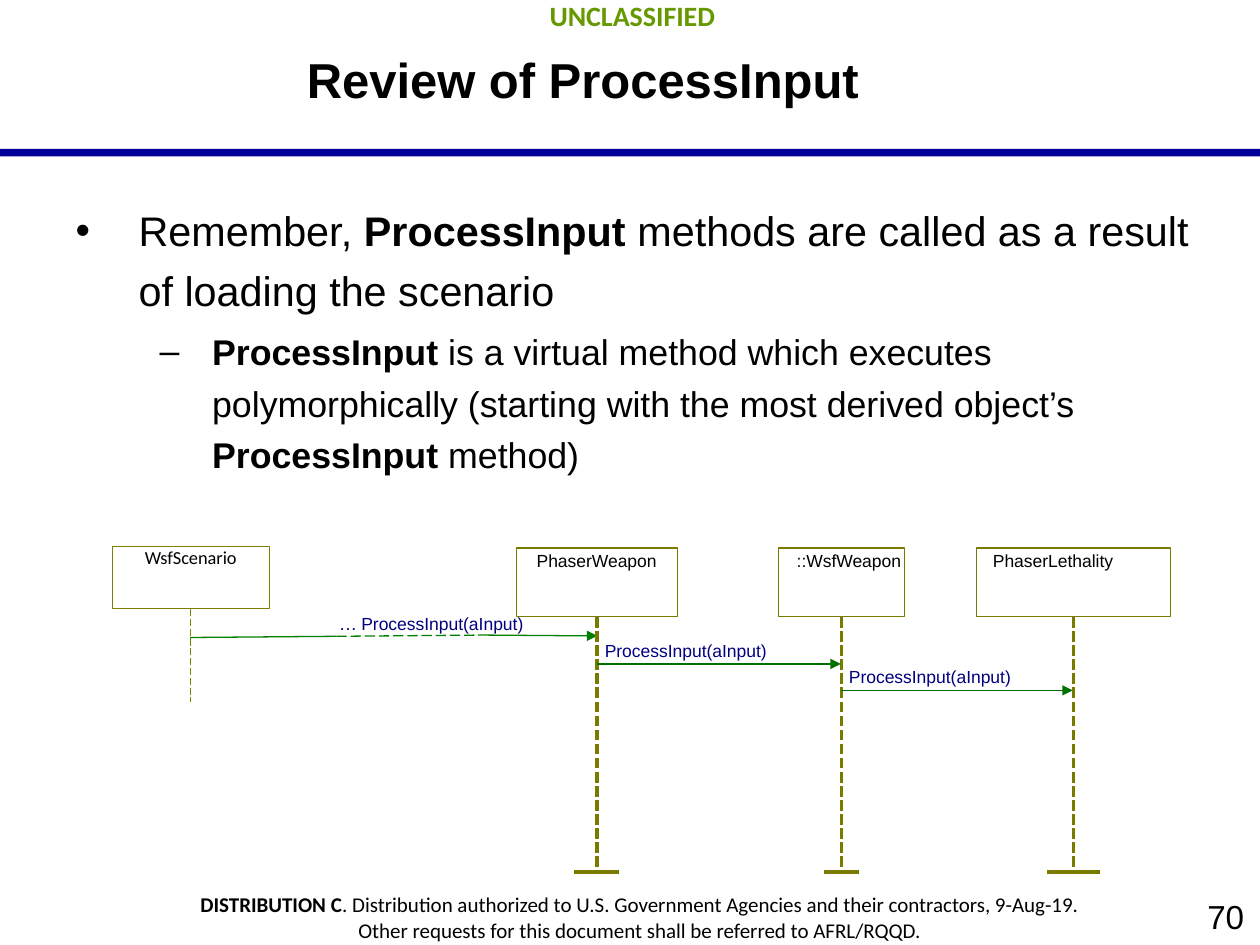
"""Build the slide that reviews the ProcessInput call sequence."""
import pptx
import pptx.dml.color
import pptx.enum.dml
import pptx.enum.shapes
import pptx.enum.text
import pptx.oxml.ns
import pptx.util

Pt = pptx.util.Pt
ALIGN = pptx.enum.text.PP_ALIGN
MIDDLE = pptx.enum.text.MSO_ANCHOR.MIDDLE
DASH = pptx.enum.dml.MSO_LINE
WIDE_INSETS = (9, 5, 9, 5)
NO_INSETS = (0, 0, 0, 0)
BOX_INSETS = (7.2, 0, 7.2, 3.6)
CALL = "ProcessInput(aInput)"
OLIVE = "797A00"
LIFELINE_END = 498.2


def paint(color_format, color):
    """Set a colour format from a hex string."""
    color_format.rgb = pptx.dml.color.RGBColor.from_string(color)


def add_run(paragraph, text, size=10, font="Arial", color="000000", bold=False):
    """Append formatted text to a paragraph."""
    run = paragraph.add_run()
    run.text = text
    run.font.size = Pt(size)
    run.font.name = font
    run.font.bold = bold
    paint(run.font.color, color)


def set_frame(shape, insets, anchor=pptx.enum.text.MSO_ANCHOR.TOP, wrap=True):
    """Set the margins, anchor and wrapping of a text frame and return it."""
    frame = shape.text_frame
    frame.auto_size = pptx.enum.text.MSO_AUTO_SIZE.NONE
    frame.word_wrap = wrap
    frame.vertical_anchor = anchor
    (frame.margin_left, frame.margin_top,
     frame.margin_right, frame.margin_bottom) = map(Pt, insets)
    return frame


def add_label(slide, bounds, lines, align=ALIGN.LEFT, insets=NO_INSETS, **frame_format):
    """Add a text box; each line is a list of (text, format) pairs."""
    shape = slide.shapes.add_textbox(*map(Pt, bounds))
    frame = set_frame(shape, insets, **frame_format)
    for index, runs in enumerate(lines):
        paragraph = frame.add_paragraph() if index else frame.paragraphs[0]
        paragraph.alignment = align
        for text, text_format in runs:
            add_run(paragraph, text, **text_format)


def add_box(slide, bounds, fill=None, line=None, width=0.0):
    """Add a rectangle with optional fill and outline."""
    shape = slide.shapes.add_shape(
        pptx.enum.shapes.MSO_SHAPE.RECTANGLE, *map(Pt, bounds))
    shape.shadow.inherit = False
    if fill:
        shape.fill.solid()
        paint(shape.fill.fore_color, fill)
    else:
        shape.fill.background()
    if line:
        paint(shape.line.color, line)
        shape.line.width = Pt(width)
    else:
        shape.line.fill.background()
    return shape


def add_line(slide, start, end, color, width=0.0, dash=None, arrow=False):
    """Add a straight line, dashed or with an arrowhead at its end."""
    line = slide.shapes.add_connector(
        pptx.enum.shapes.MSO_CONNECTOR.STRAIGHT, *map(Pt, start + end))
    paint(line.line.color, color)
    line.line.width = Pt(width)
    if dash:
        line.line.dash_style = dash
    if arrow:
        head = line.line._get_or_add_ln().makeelement(
            pptx.oxml.ns.qn("a:tailEnd"), {"type": "triangle"})
        line.line._get_or_add_ln().append(head)
    properties = line._element.spPr
    properties.append(properties.makeelement(pptx.oxml.ns.qn("a:effectLst"), {}))


def add_bullet(paragraph, character, runs, size, left, hanging, level=0):
    """Format a list paragraph; runs are (text, bold) pairs."""
    paragraph.level = level
    paragraph.line_spacing = 1.2
    paragraph.space_before = Pt(size * 0.2)
    properties = paragraph._p.get_or_add_pPr()
    properties.set("marL", str(Pt(left)))
    properties.set("indent", str(-Pt(hanging)))
    properties.append(properties.makeelement(
        pptx.oxml.ns.qn("a:buChar"), {"char": character}))
    for text, bold in runs:
        add_run(paragraph, text, size=size, bold=bold)


def place(shape, left, top, width, height):
    """Move and size a placeholder."""
    shape.left, shape.top, shape.width, shape.height = map(
        Pt, (left, top, width, height))


def add_title_and_list(slide):
    """Fill the title and body placeholders."""
    title, body = slide.placeholders
    place(title, 72, 0, 522, 90)
    paragraph = set_frame(title, WIDE_INSETS, anchor=MIDDLE).paragraphs[0]
    paragraph.alignment = ALIGN.CENTER
    add_run(paragraph, "Review of ProcessInput", size=28, bold=True)

    place(body, 36, 108, 660, 168)
    frame = set_frame(body, (7.2, 3.6, 7.2, 3.6))
    add_bullet(frame.paragraphs[0], "•", [
        ("Remember, ", False), ("ProcessInput", True),
        (" methods are called as a result of loading the scenario", False),
    ], size=23.6, left=36, hanging=36)
    add_bullet(frame.add_paragraph(), "–", [
        ("ProcessInput", True),
        (" is a virtual method which executes polymorphically "
         "(starting with the most derived object’s ", False),
        ("ProcessInput", True), (" method)", False),
    ], size=20.4, left=78, hanging=30, level=1)


def add_page_marks(slide):
    """Add the rule, marking, distribution statement and page number."""
    add_box(slide, (0, 85, 720, 4.4), fill="000099")
    add_label(slide, (576, 507.6, 144, 32.4), [[("70", {"size": 19})]],
              align=ALIGN.RIGHT, insets=WIDE_INSETS, anchor=MIDDLE)
    add_label(slide, (1.4, -5.8, 720, 29), [[("UNCLASSIFIED", {
        "size": 16, "font": "Calibri", "color": "669900", "bold": True})]],
              align=ALIGN.CENTER, insets=WIDE_INSETS)
    small = {"size": 12, "font": "Calibri"}
    add_label(slide, (5, 504.7, 721.4, 39), [
        [("DISTRIBUTION C", {**small, "bold": True}),
         (". Distribution authorized to U.S. Government Agencies and their "
          "contractors, 9-Aug-19.", small)],
        [("Other requests for this document shall be referred to AFRL/RQQD.", small)],
    ], align=ALIGN.CENTER, insets=WIDE_INSETS)


def add_scenario(slide):
    """Add the scenario box, its lifeline and its call."""
    box = add_box(slide, (64, 312, 90, 36), line="808000", width=0.5)
    paragraph = set_frame(box, BOX_INSETS).paragraphs[0]
    paragraph.alignment = ALIGN.CENTER
    add_run(paragraph, "WsfScenario", size=10.5, font="Calibri")
    add_line(slide, (108.7, 348), (108.7, 401), "808000", 0.5, DASH.LONG_DASH)
    points = [(108.7, 364.3), (192.2, 363.6), (275.8, 362.9), (341.3, 363.4)]
    styles = [{}, {"dash": DASH.LONG_DASH}, {"arrow": True}]
    for start, end, style in zip(points, points[1:], styles):
        add_line(slide, start, end, "008000", 0.75, **style)
    add_label(slide, (186.5, 346.3, 121, 20), [[
        ("…", {"size": 10.5, "color": "000080"}),
        (" ", {"size": 9, "color": "000080"}),
        (CALL, {"color": "000080"}),
    ]], insets=(7.2, 3.6, 7.2, 3.6), wrap=False)


def add_participant(slide, name, left, width, text_left, center, foot_left, foot_right):
    """Add a class box with its lifeline and foot."""
    add_line(slide, (center, 352.6), (center, LIFELINE_END), OLIVE, dash=DASH.SQUARE_DOT)
    add_box(slide, (left, 313.2, width, 39), fill="FFFFFF", line=OLIVE)
    add_line(slide, (foot_left, LIFELINE_END), (foot_right, LIFELINE_END), OLIVE)
    add_label(slide, (text_left, 314, 69, 12), [[(name, {})]], wrap=False)


def add_call(slide, start, end, top):
    """Add a labelled call arrow between two lifelines."""
    add_line(slide, (start, top), (end, top), "007000", 0.75, arrow=True)
    add_label(slide, (start + 4.3, top - 13.7, 94.3, 13.7),
              [[(CALL, {"color": "000080"})]])


def main():
    """Build and save the presentation."""
    presentation = pptx.Presentation()
    presentation.slide_width, presentation.slide_height = Pt(720), Pt(540)
    slide = presentation.slides.add_slide(presentation.slide_layouts[1])
    add_page_marks(slide)
    add_title_and_list(slide)
    add_scenario(slide)
    add_participant(slide, "PhaserWeapon", 295.2, 92, 306.7, 341.3, 328.3, 353.5)
    add_participant(slide, "::WsfWeapon", 445, 72, 455.3, 480.8, 470.9, 490.7)
    add_participant(slide, "PhaserLethality", 558, 111, 567.4, 613.4, 598.3, 628.8)
    add_call(slide, 341.3, 480.5, 379.4)
    add_call(slide, 480.8, 613, 394.5)
    presentation.save("out.pptx")


if __name__ == "__main__":
    main()
